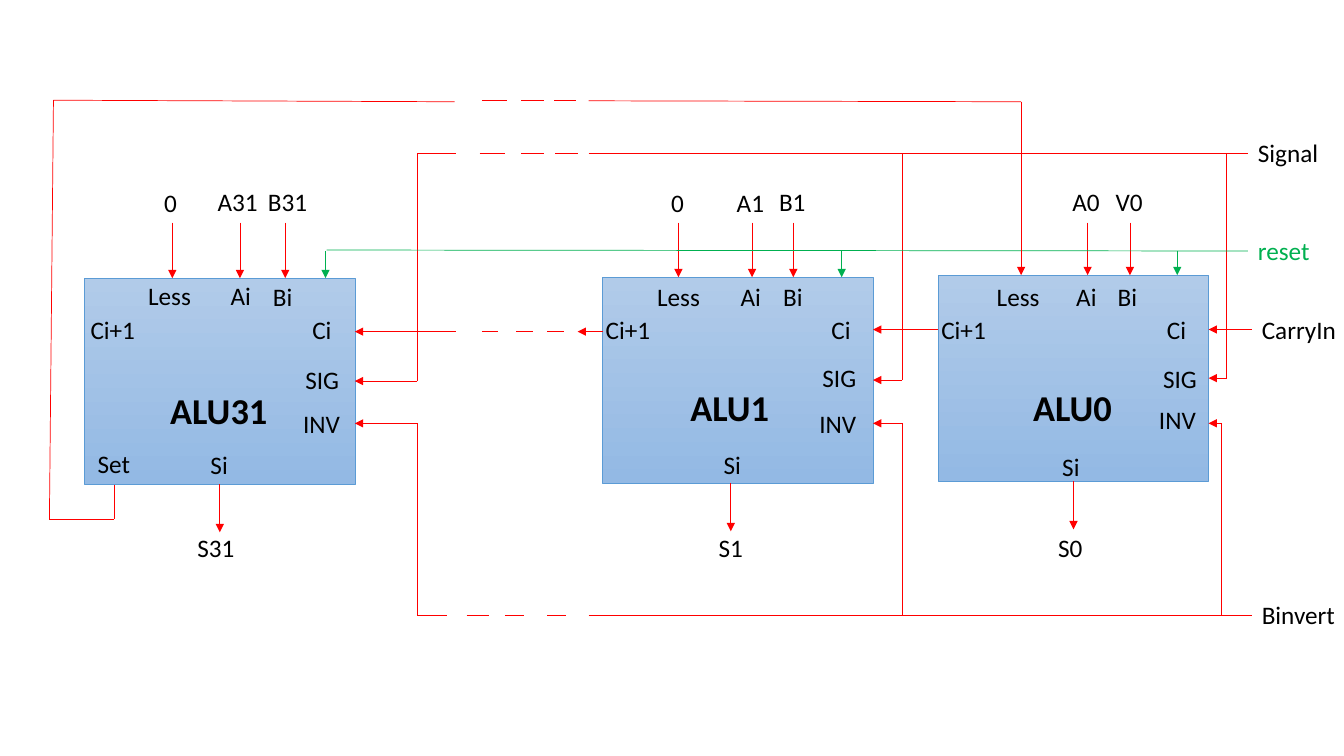
import itertools

import pptx
import pptx.dml.color
import pptx.enum.dml
import pptx.enum.shapes
import pptx.enum.text
import pptx.oxml
import pptx.oxml.ns
import pptx.util

Pt = pptx.util.Pt
COLOURS = {"wire": "FF0000", "reset": "00B050", "text": "000000",
           "edge": "5B9BD5", "top": "B1CBE9", "bottom": "93B9E4"}
FONT = "Calibri"
UNIT_WIDTH, UNIT_HEIGHT = 193, 147
RIGHT_SIDE, BOTTOM_SIDE = 3, 2
SIGNAL_Y, RESET_Y, BINVERT_Y = 109.4, 179, 439.2
INPUT_Y, OUTPUT_LENGTH = 159.1, 34.5

# Label places and arrow columns are offsets from the unit's top left corner.
UNITS = [
    {"name": "ALU31", "left": 60.5, "top": 198.7, "name_at": (54, 74.9),
     "labels": [("Less", 38.2, -2.2), ("Ai", 97.2, -2.2), ("Bi", 127.4, -1.4),
                ("Ci+1", -2.9, 22.3), ("Ci", 155.5, 22.3), ("SIG", 150.5, 58.3),
                ("INV", 149, 89.3), ("Si", 82.8, 118.8), ("Set", 2.2, 118.1),
                ("0", 49.7, -68.4), ("A31", 87.8, -69.1), ("B31", 123.8, -69.1),
                ("S31", 73.4, 177.8)],
     "inputs": [62.6, 110.9, 143.3], "reset": 172, "output": 96.5,
     "bus": 298.1, "invert_bus": 298.1},
    {"name": "ALU1", "left": 430.6, "top": 198, "name_at": (55.4, 73.4),
     "labels": [("Less", 31.7, -0.7), ("Ai", 91.4, -0.7), ("Bi", 121.7, -0.7),
                ("Ci+1", -5, 23), ("Ci", 156.2, 23), ("SIG", 149.8, 56.9),
                ("INV", 147.6, 90), ("Si", 79.2, 119.5),
                ("0", 41.8, -67.7), ("A1", 88.6, -67.7), ("B1", 118.8, -68.4),
                ("S1", 75.6, 178.6)],
     "inputs": [54, 106.6, 136.1], "reset": 170.6, "output": 91.4,
     "bus": 644.4, "invert_bus": 644.4},
    {"name": "ALU0", "left": 670.3, "top": 196.6, "name_at": (60.5, 74.9),
     "labels": [("Less", 34.6, 0.7), ("Ai", 91.4, 0.7), ("Bi", 121, 0.7),
                ("Ci+1", -5, 24.5), ("Ci", 156.2, 24.5), ("SIG", 153.4, 59),
                ("INV", 150.5, 88.6), ("Si", 81.4, 122.4),
                ("A0", 88.6, -67), ("V0", 119.5, -67), ("S0", 78.5, 180)],
     "inputs": [106.6, 136.8], "reset": 170.6, "output": 96.5,
     "bus": 876.2, "invert_bus": 872.3},
]


def rgb(colour):
    return pptx.dml.color.RGBColor.from_string(COLOURS[colour])


def add_label(page, text, left, top, width=55, height=29, colour="text", size=18, bold=False):
    frame = page.shapes.add_textbox(Pt(left), Pt(top), Pt(width), Pt(height)).text_frame
    frame.word_wrap = True
    frame.margin_right = 0
    span = frame.paragraphs[0].add_run()
    span.text = text
    for key, value in {"name": FONT, "size": Pt(size), "bold": bold}.items():
        setattr(span.font, key, value)
    span.font.color.rgb = rgb(colour)


def add_route(page, points, colour="wire", arrow=False):
    """Join the points with straight wires and return the last one."""
    for start, end in itertools.pairwise(points):
        wire = page.shapes.add_connector(pptx.enum.shapes.MSO_CONNECTOR.STRAIGHT,
                                         *map(Pt, start + end))
        wire.line.color.rgb = rgb(colour)
        wire.line.width = Pt(0.5)
        properties = wire._element.spPr
        properties.append(pptx.oxml.parse_xml(
            f'<a:effectLst {pptx.oxml.ns.nsdecls("a")}/>'))
    if arrow:
        wire.line._get_or_add_ln().append(pptx.oxml.parse_xml(
            f'<a:tailEnd {pptx.oxml.ns.nsdecls("a")} type="triangle"/>'))
    return wire


def add_spans(page, y, spans):
    for start, end in spans:
        add_route(page, [(start, y), (end, y)])


def draw_unit(page, unit):
    """Draw one ALU with its labels, inputs, output and taps from the buses."""
    left, top = unit["left"], unit["top"]
    right, bottom = left + UNIT_WIDTH, top + UNIT_HEIGHT
    box = page.shapes.add_shape(pptx.enum.shapes.MSO_SHAPE.RECTANGLE,
                                Pt(left), Pt(top), Pt(UNIT_WIDTH), Pt(UNIT_HEIGHT))
    box.shadow.inherit = False
    box.fill.gradient()
    box.fill.gradient_angle = 270
    for stop, colour in zip(box.fill.gradient_stops, ("top", "bottom")):
        stop.color.rgb = rgb(colour)
    box.line.color.rgb = rgb("edge")
    box.line.width = Pt(0.5)

    for text, across, down in unit["labels"]:
        add_label(page, text, left + across, top + down)
    across, down = unit["name_at"]
    add_label(page, unit["name"], left + across, top + down, 90, 39, size=26, bold=True)

    for across in unit["inputs"]:
        add_route(page, [(left + across, INPUT_Y), (left + across, top)], arrow=True)
    reset_x = left + unit["reset"]
    add_route(page, [(reset_x, RESET_Y), (reset_x, top)], "reset", True)

    output_x = left + unit["output"]
    output = add_route(page, [(output_x, bottom), (output_x, bottom + OUTPUT_LENGTH)], arrow=True)
    if unit["output"] == UNIT_WIDTH / 2:
        output.begin_connect(box, BOTTOM_SIDE)

    middle = top + UNIT_HEIGHT / 2
    signal = add_route(page, [(unit["bus"], SIGNAL_Y), (unit["bus"], middle),
                              (right, middle)], arrow=True)
    signal.end_connect(box, RIGHT_SIDE)
    invert_x, invert_y = unit["invert_bus"], 302.4
    add_route(page, [(invert_x, BINVERT_Y), (invert_x, invert_y), (right, invert_y)], arrow=True)


def draw_buses(page):
    """Draw the horizontal lines, broken where units are left out, and their names."""
    add_spans(page, SIGNAL_Y, [(298.1, 325.4), (342.7, 360.7), (372.2, 388.8),
                               (396.7, 412.6), (420.5, 891.4)])
    add_spans(page, BINVERT_Y, [(298.1, 319), (333.4, 349.2), (360.7, 374.4),
                                (391, 404.6), (420.5, 894.2)])
    add_route(page, [(891.4, 179.3), (233.3, 178.6)], "reset")
    for text, left, top, colour in [("Signal", 891.4, 94.3, "text"), ("reset", 891.4, 164.2, "reset"),
                                    ("CarryIn", 894.2, 221, "text"), ("Binvert", 894.2, 424.8, "text")]:
        add_label(page, text, left, top, 65, colour=colour)


def draw_carry(page):
    for start, end, y in [(894.2, 863.3, 235.4), (670.3, 623.6, 235.4),
                          (430.6, 412.6, 236.9), (325.4, 253.5, 236.9)]:
        add_route(page, [(start, y), (end, y)], arrow=True)
    add_spans(page, 236.9, [(344.2, 355.7), (368.6, 380.9), (391, 403.2)])


def draw_set_loop(page):
    """Lead Set of the last unit back to Less of the first."""
    add_route(page, [(81.4, 346.3), (81.4, 370.8), (35.3, 370.8), (38.2, 71.6), (324.7, 72.7)])
    add_spans(page, 72, [(344.2, 362.2), (372.2, 388.8), (396, 411.8)])
    add_route(page, [(420.5, 72), (729.4, 72.7), (729.4, 196.6)], arrow=True)


def main():
    deck = pptx.Presentation()
    deck.slide_width, deck.slide_height = Pt(960), Pt(540)
    page = deck.slides.add_slide(deck.slide_layouts[6])
    for unit in UNITS:
        draw_unit(page, unit)
    draw_buses(page)
    draw_carry(page)
    draw_set_loop(page)
    deck.save("out.pptx")


if __name__ == "__main__":
    main()
